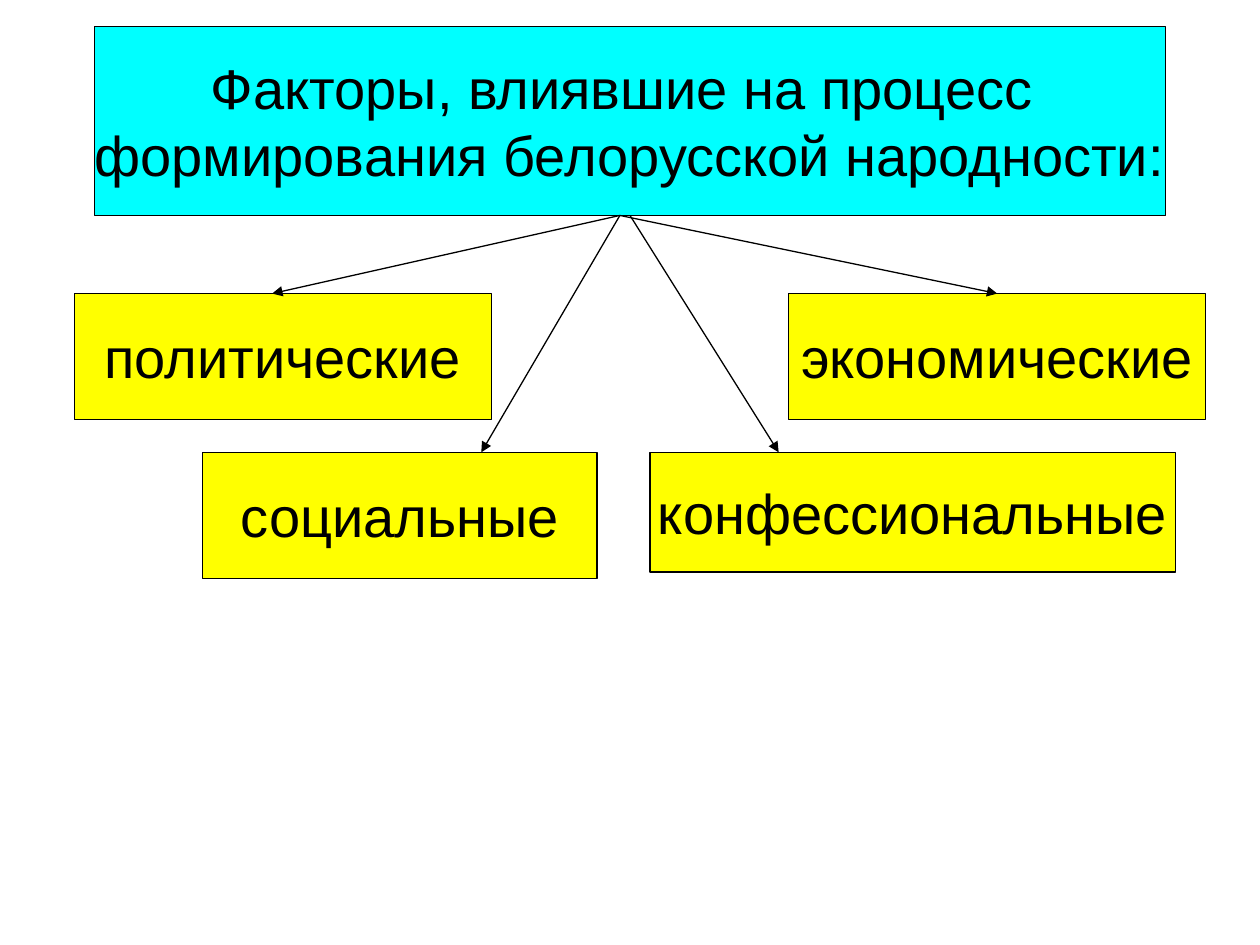
from dataclasses import dataclass

from lxml.etree import SubElement
from pptx import Presentation
from pptx.dml.color import RGBColor
from pptx.enum.shapes import MSO_CONNECTOR, MSO_SHAPE
from pptx.enum.text import MSO_ANCHOR, PP_ALIGN
from pptx.oxml.ns import qn
from pptx.util import Inches, Pt


@dataclass(frozen=True)
class Theme:
    title_fill: RGBColor = RGBColor(0x00, 0xFF, 0xFF)
    factor_fill: RGBColor = RGBColor(0xFF, 0xFF, 0x00)
    ink: RGBColor = RGBColor(0x00, 0x00, 0x00)
    font: str = "Arial"
    size: Pt = Pt(32)
    line: Pt = Pt(0.75)


THEME = Theme()
TITLE = "Факторы, влиявшие на процесс \nформирования белорусской народности:"
TITLE_BOX = (0.75, 0.21, 8.5, 1.5)
TOP, BOTTOM_MIDDLE = 0, 2

# Text, box, arrow start x, arrow end x, whether each end is a side's middle
FACTORS = [
    ("политические", (0.59, 2.33, 3.31, 1), 4.92, 2.16, False, False),
    ("экономические", (6.26, 2.33, 3.31, 1), 4.92, 7.91, False, True),
    ("социальные", (1.61, 3.59, 3.13, 1), 4.92, 3.82, False, False),
    ("конфессиональные", (5.16, 3.59, 4.17, 0.95), 5, 6.18, True, False),
]


def add_box(slide, box, text, fill):
    """Outlined rectangle with centred text."""
    sp = slide.shapes.add_shape(MSO_SHAPE.RECTANGLE, *map(Inches, box))
    sp.shadow.inherit = False
    sp.fill.solid()
    sp.fill.fore_color.rgb = fill
    sp.line.color.rgb = THEME.ink
    sp.line.width = THEME.line
    tf = sp.text_frame
    tf.word_wrap = False
    tf.vertical_anchor = MSO_ANCHOR.MIDDLE
    tf.text = text
    for p in tf.paragraphs:
        p.alignment = PP_ALIGN.CENTER
        for r in p.runs:
            r.font.name = THEME.font
            r.font.size = THEME.size
            r.font.color.rgb = THEME.ink
    return sp


def add_arrow(slide, start, end):
    """Thin line with a triangular head at its end."""
    cxn = slide.shapes.add_connector(
        MSO_CONNECTOR.STRAIGHT, *map(Inches, (*start, *end)))
    cxn.line.color.rgb = THEME.ink
    cxn.line.width = THEME.line
    SubElement(cxn.line._get_or_add_ln(), qn("a:tailEnd"), type="triangle")
    SubElement(cxn._element.spPr, qn("a:effectLst"))
    return cxn


def add_factors(slide, title, title_box, factors):
    """Factor boxes, each with an arrow from the title."""
    start_y = title_box[1] + title_box[3]
    boxes = [add_box(slide, box, text, THEME.factor_fill)
             for text, box, *_ in factors]
    for sp, (_, box, x1, x2, join_start, join_end) in zip(boxes, factors):
        cxn = add_arrow(slide, (x1, start_y), (x2, box[1]))
        if join_start:
            cxn.begin_connect(title, BOTTOM_MIDDLE)
        if join_end:
            cxn.end_connect(sp, TOP)


def main():
    prs = Presentation()
    prs.slide_width, prs.slide_height = Inches(10), Inches(7.5)
    s = prs.slides.add_slide(prs.slide_layouts[6])

    # Title on top, factors below
    title = add_box(s, TITLE_BOX, TITLE, THEME.title_fill)
    add_factors(s, title, TITLE_BOX, FACTORS)

    prs.save("out.pptx")


if __name__ == "__main__":
    main()
